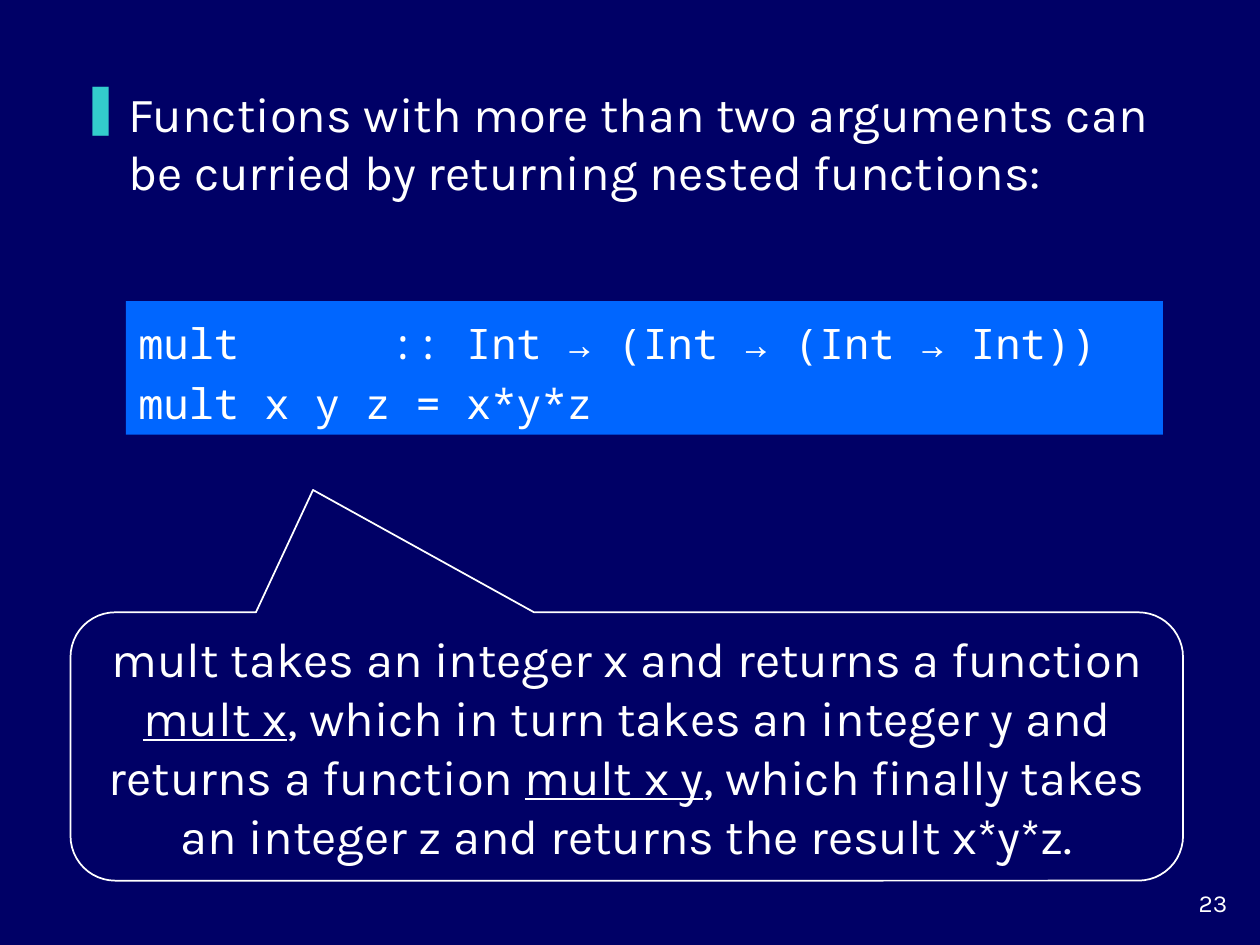
from lxml import etree
from pptx import Presentation
from pptx import util as u
from pptx.dml.color import RGBColor
from pptx.enum import shapes, text
from pptx.oxml import ns

HUES = {"back": "000066", "code": "0066FF", "mark": "33CCCC", "ink": "FFFFFF"}


def hue(name):
    return RGBColor.from_string(HUES[name])


def style(para, size, face="Karla", align=text.PP_ALIGN.LEFT):
    para.alignment = align
    for run in para.runs:
        run.font.size = u.Pt(size)
        run.font.name = face
        run.font.color.rgb = hue("ink")


deck = Presentation()
deck.slide_width, deck.slide_height = u.Inches(10), u.Inches(7.5)
slide = deck.slides.add_slide(deck.slide_layouts[6])
slide.background.fill.solid()
slide.background.fill.fore_color.rgb = hue("back")

page = slide.shapes.add_textbox(u.Inches(9.17), u.Inches(7), u.Inches(0.67), u.Inches(0.33))
page.text_frame.word_wrap = True
page.text_frame.text = "23"
style(page.text_frame.paragraphs[0], 14, align=text.PP_ALIGN.RIGHT)

point = slide.shapes.add_textbox(u.Inches(0.54), u.Inches(0.61), u.Inches(9.01), u.Inches(1.1))
point.text_frame.word_wrap = True
point.text_frame.text = "Functions with more than two arguments can be curried by returning nested functions:"
para = point.text_frame.paragraphs[0]
props = para._p.get_or_add_pPr()
props.set("marL", str(u.Inches(0.38)))
props.set("indent", str(-u.Inches(0.38)))
tint = etree.SubElement(props, ns.qn("a:buClr"))
etree.SubElement(tint, ns.qn("a:srgbClr"), val=HUES["mark"])
etree.SubElement(props, ns.qn("a:buChar"), char="❚")
style(para, 28)

code = slide.shapes.add_shape(
    shapes.MSO_SHAPE.RECTANGLE, u.Inches(1), u.Inches(2.39), u.Inches(8.23), u.Inches(1.06))
code.shadow.inherit = False
code.fill.solid()
code.fill.fore_color.rgb = hue("code")
code.line.fill.background()
code.text_frame.vertical_anchor = text.MSO_ANCHOR.MIDDLE
code.text_frame.word_wrap = True
code.text_frame.text = "mult      :: Int → (Int → (Int → Int))\nmult x y z = x*y*z"
for para in code.text_frame.paragraphs:
    para.line_spacing = 1.2
    style(para, 24, "Noto Sans Mono")

note = slide.shapes.add_shape(
    shapes.MSO_SHAPE.ROUNDED_RECTANGULAR_CALLOUT,
    u.Inches(0.56), u.Inches(4.86), u.Inches(8.83), u.Inches(2.13))
for i, value in enumerate((-0.282, -0.956, 0.167)):
    note.adjustments[i] = value
note.shadow.inherit = False
note.fill.background()
note.line.color.rgb = hue("ink")
note.line.width = u.Pt(1)
note.text_frame.word_wrap = True
note.text_frame.vertical_anchor = text.MSO_ANCHOR.MIDDLE
para = note.text_frame.paragraphs[0]
parts = (
    "mult takes an integer x and returns a function ",
    "mult x",
    ", which in turn takes an integer y and returns a function ",
    "mult x y",
    ", which finally takes an integer z and returns the result x*y*z.",
)
for part in parts:
    run = para.add_run()
    run.text = part
    run.font.underline = part in ("mult x", "mult x y")
style(para, 28, align=text.PP_ALIGN.CENTER)

deck.save("out.pptx")
